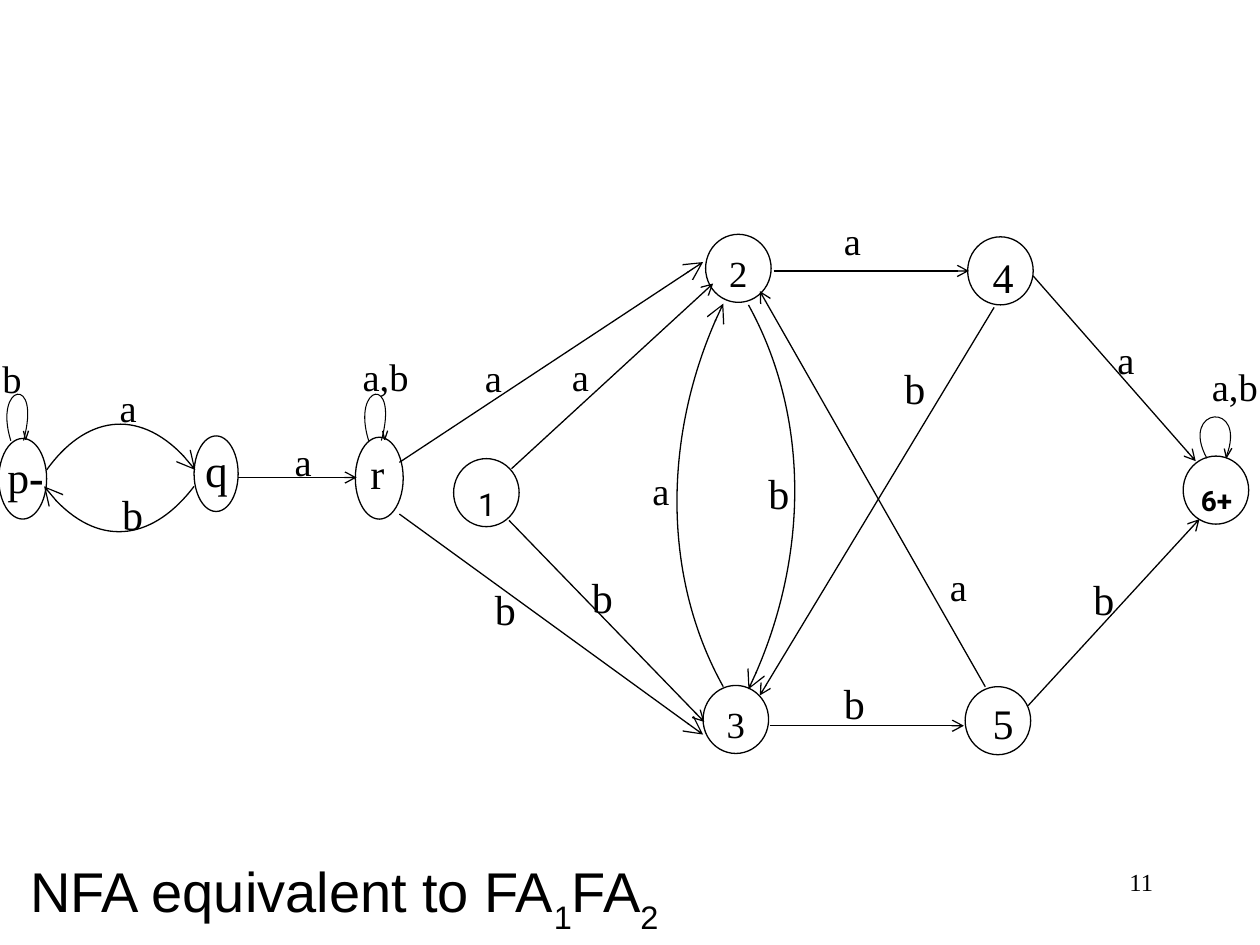
import pptx
import pptx.util
import pptx.dml.color
import pptx.enum.shapes
import pptx.enum.text
import pptx.oxml.ns
import lxml.etree

Inches = pptx.util.Inches
Pt = pptx.util.Pt
ALIGN = pptx.enum.text.PP_ALIGN
TOP = pptx.enum.text.MSO_ANCHOR.TOP
qn = pptx.oxml.ns.qn
RGB = pptx.dml.color.RGBColor.from_string

THEME = {
    "ink": RGB("000000"), "paper": RGB("FFFFFF"),
    "serif": "Times New Roman", "sans": "Arial", "digit": "Roboto",
    "title": 32, "number": 14, "state": 21, "a": 22, "b": 24,
    "line": 0.75, "loop": 0.6,
}


def write(shape, runs, size, font=THEME["serif"], align=ALIGN.LEFT):
    tf = shape.text_frame
    tf.word_wrap = True
    tf.vertical_anchor = TOP
    p = tf.paragraphs[0]
    p.alignment = align
    for text, bold, baseline in runs:
        r = p.add_run()
        r.text = text
        r.font.name = font
        r.font.size = Pt(size)
        r.font.bold = bold
        r.font.color.rgb = THEME["ink"]
        if baseline:
            r._r.get_or_add_rPr().set("baseline", str(baseline))


def outline(shape, width=THEME["line"], head=None):
    shape.line.color.rgb = THEME["ink"]
    shape.line.width = Pt(width)
    spPr = shape._element.spPr
    if head:
        lxml.etree.SubElement(spPr.find(qn("a:ln")), qn("a:tailEnd"), type="arrow", w=head, len=head)
    if spPr.find(qn("a:effectLst")) is None:
        lxml.etree.SubElement(spPr, qn("a:effectLst"))


prs = pptx.Presentation()
prs.slide_width, prs.slide_height = Inches(10), Inches(7.5)
s = prs.slides.add_slide(prs.slide_layouts[5])

title = s.shapes.title
title.left, title.top, title.width, title.height = map(Inches, (0.14, 6.75, 9.25, 0.58))
title.text_frame.auto_size = pptx.enum.text.MSO_AUTO_SIZE.NONE
write(title, [("NFA equivalent to FA", False, 0), ("1", False, -30000),
              ("FA", False, 0), ("2", False, -30000)], THEME["title"], THEME["sans"])

states = [
    (-0.01, 3.48, 0.38, 0.64, ""), (1.54, 3.46, 0.35, 0.6, ""), (2.82, 3.47, 0.38, 0.65, ""),
    (3.6, 3.64, 0.52, 0.54, ""), (5.6, 1.86, 0.52, 0.54, "2"), (5.58, 5.44, 0.52, 0.54, "3"),
    (7.68, 1.88, 0.52, 0.54, ""), (7.66, 5.45, 0.52, 0.54, ""), (9.39, 3.62, 0.52, 0.54, ""),
]
for x, y, w, h, name in states:
    sp = s.shapes.add_shape(pptx.enum.shapes.MSO_SHAPE.OVAL, Inches(x), Inches(y), Inches(w), Inches(h))
    sp.fill.solid()
    sp.fill.fore_color.rgb = THEME["paper"]
    outline(sp)
    if name:
        write(sp, [(name, False, 0)], THEME["state"], align=ALIGN.CENTER)

edges = [
    (1.89, 3.79, 2.83, 3.79, "med"), (6.14, 2.15, 7.69, 2.15, "med"), (6.11, 5.76, 7.65, 5.76, "med"),
    (4.06, 3.72, 5.66, 2.25, "med"), (4.04, 4.13, 5.59, 5.73, "med"), (8.16, 5.6, 9.52, 4.12, "med"),
    (8.2, 2.19, 9.49, 3.66, "med"), (7.82, 5.45, 6.03, 2.31, "med"), (7.89, 2.44, 6.03, 5.52, "med"),
    (3.17, 3.67, 5.58, 2.08, "lg"), (3.17, 4.08, 5.58, 5.83, "lg"),
]
for x1, y1, x2, y2, head in edges:
    edge = s.shapes.add_connector(pptx.enum.shapes.MSO_CONNECTOR.STRAIGHT,
                                  Inches(x1), Inches(y1), Inches(x2), Inches(y2))
    outline(edge, head=head)

arcs = [
    ([(0.37, 3.73), (0.67, 3.31), (1.16, 3.21), (1.55, 3.73)], 0),
    ([(1.54, 3.86), (1.23, 4.27), (0.74, 4.38), (0.35, 3.86)], 0),
    ([(5.94, 2.42), (6.42, 3.29), (6.42, 4.48), (5.94, 5.47)], 0),
    ([(5.26, 2.41), (5.74, 3.27), (5.74, 4.47), (5.26, 5.45)], 180),
]
small_loop = [(-0.01, 0.28), (-0.19, -0.16), (0.19, -0.27), (0.09, 0.27)]
large_loop = [(-0.02, 0.25), (-0.28, -0.14), (0.27, -0.24), (0.13, 0.23)]
loops = [
    (0.12, 3.22, small_loop, 0.2, 3.49, 0.03),
    (2.96, 3.22, small_loop, 3.05, 3.49, 0.03),
    (9.62, 3.39, large_loop, 9.73, 3.63, 0.05),
]
paths = [(points, turn, THEME["line"], "lg") for points, turn in arcs]
for x, y, offsets, tip_x, tip_y, barb in loops:
    paths += [
        ([(x + dx, y + dy) for dx, dy in offsets], 5, THEME["loop"], None),
        ([(tip_x, tip_y), (tip_x + barb, tip_y - 0.07)], 355, THEME["line"], None),
        ([(tip_x - 0.01, tip_y - 0.07), (tip_x, tip_y)], 355, THEME["line"], None),
    ]
for points, turn, width, head in paths:
    points = [(Inches(x), Inches(y)) for x, y in points]
    fb = s.shapes.build_freeform(*points[0])
    fb.add_line_segments(points[1:], close=False)
    sp = fb.convert_to_shape()
    sp.rotation = turn
    sp.fill.background()
    outline(sp, width, head)
    segments = list(sp._element.iter(qn("a:lnTo")))
    if len(segments) == 3:
        bezier = lxml.etree.SubElement(segments[0].getparent(), qn("a:cubicBezTo"))
        for segment in segments:
            bezier.append(segment[0])
            segment.getparent().remove(segment)

serif, digit = THEME["serif"], THEME["digit"]
state_names = [
    (-0.04, 3.52, 1.06, 0.44, [("p", False, 0), ("-", True, 0)], 25, serif, ALIGN.LEFT),
    (1.53, 3.46, 0.22, 0.36, [("q", False, 0)], 26, serif, ALIGN.LEFT),
    (2.84, 3.5, 0.41, 0.4, [("r", False, 0)], 24, serif, ALIGN.LEFT),
    (3.5, 3.8, 0.73, 0.36, [("1", False, 0)], 18, digit, ALIGN.CENTER),
    (7.78, 1.95, 0.73, 0.51, [("4", False, 0)], 24, serif, ALIGN.LEFT),
    (7.78, 5.49, 0.73, 0.51, [("5", False, 0)], 24, serif, ALIGN.LEFT),
    (9.29, 3.79, 0.73, 0.36, [("6+", True, 0)], 16, digit, ALIGN.CENTER),
    (7.17, 6.83, 2.08, 0.5, [("11", False, 0)], THEME["number"], serif, ALIGN.RIGHT),
]
edge_labels = {
    ("a", THEME["a"], 0.22, 0.36): [(0.85, 3), (2.24, 3.43)],
    ("b", THEME["b"], 0.22, 0.36): [(0.87, 3.83)],
    ("b", THEME["a"], 0.53, 0.61): [(-0.08, 2.77)],
    ("a,b", THEME["a"], 0.94, 0.61): [(2.78, 2.75)],
    ("a,b", THEME["a"], 0.73, 0.51): [(9.52, 2.83)],
    ("a", THEME["a"], 0.73, 0.51): [(3.75, 2.76), (4.44, 2.75), (5.08, 3.66), (6.6, 1.67),
                                    (7.44, 4.42), (8.77, 2.62)],
    ("b", THEME["b"], 0.73, 0.51): [(3.83, 4.58), (4.6, 4.49), (6, 3.66), (6.6, 5.33),
                                    (7.08, 2.83), (8.58, 4.5)],
}
texts = state_names + [
    (x, y, w, h, [(text, False, 0)], size, serif, ALIGN.LEFT)
    for (text, size, w, h), places in edge_labels.items() for x, y in places
]
for x, y, w, h, runs, size, font, align in texts:
    tb = s.shapes.add_textbox(Inches(x), Inches(y), Inches(w), Inches(h))
    write(tb, runs, size, font, align)

prs.save("out.pptx")
